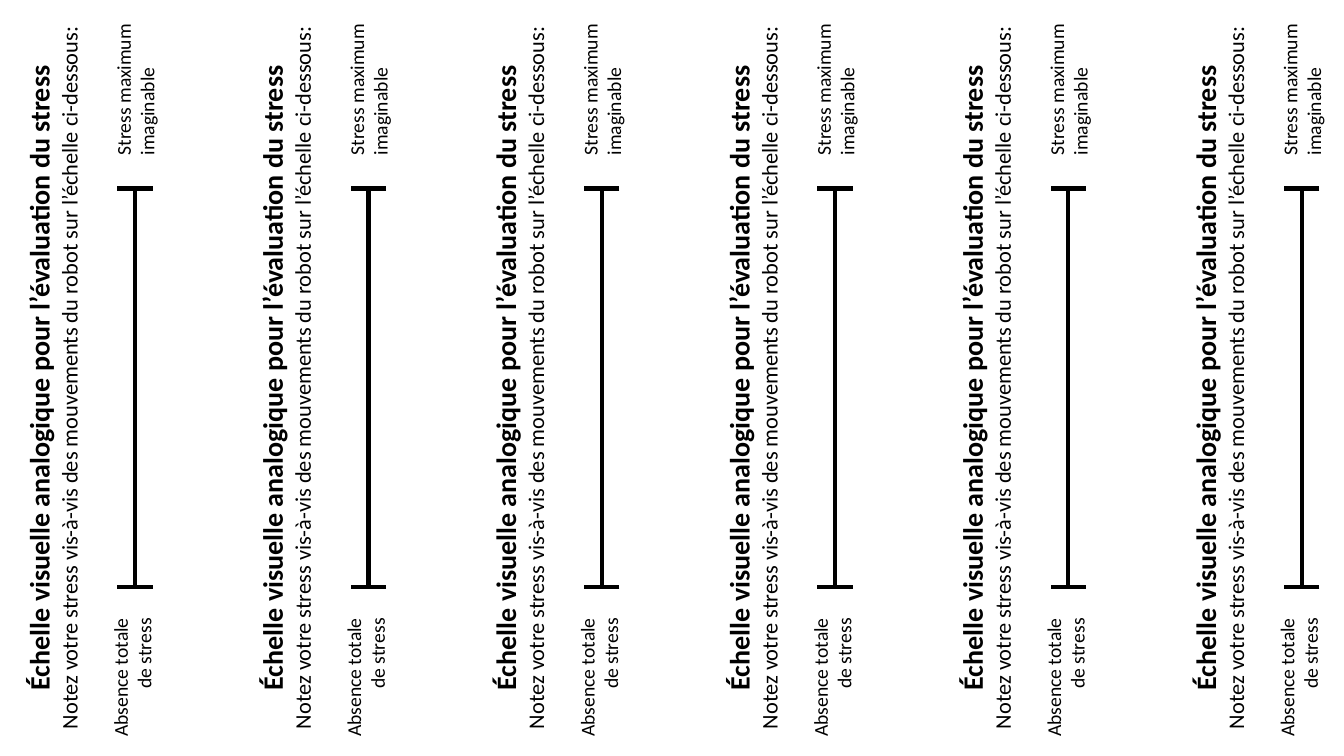
from lxml.etree import SubElement
from pptx import Presentation
from pptx.dml.color import RGBColor
from pptx.enum.shapes import MSO_CONNECTOR
from pptx.enum.text import MSO_AUTO_SIZE, PP_ALIGN
from pptx.oxml.ns import qn
from pptx.util import Inches, Pt

BLACK = RGBColor(0, 0, 0)
FONT = "Calibri"

# Grid: six equal columns, one stress scale in each
SCALE_COUNT = 6
FIRST_AXIS, LAST_AXIS = 1.34, 12.91
COLUMN = (LAST_AXIS - FIRST_AXIS) / (SCALE_COUNT - 1)
AXIS_TOP, AXIS_BOTTOM = 1.87, 5.82
HALF_TICK = 0.175

TITLE = "Échelle visuelle analogique pour l’évaluation du stress"
INSTRUCTION = ("Notez votre stress vis-à-vis des mouvements du robot "
               "sur l’échelle ci-dessous:")


def add_line(shapes, start, end):
    """Add a thick black line between two points given in inches."""
    line = shapes.add_connector(
        MSO_CONNECTOR.STRAIGHT, *map(Inches, (*start, *end)))
    line.line.color.rgb = BLACK
    line.line.width = Pt(3)
    SubElement(line._element.spPr, qn("a:effectLst"))


def add_upward_text(shapes, lines, *, center, size, align, wrap=False):
    """Add text reading upwards; each line is (text, points, bold)."""
    (x, y), (width, height) = center, size
    box = shapes.add_textbox(Inches(x - width / 2), Inches(y - height / 2),
                             Inches(width), Inches(height))
    box.rotation = 270
    frame = box.text_frame
    frame.word_wrap = wrap
    frame.auto_size = MSO_AUTO_SIZE.SHAPE_TO_FIT_TEXT
    for index, (text, points, bold) in enumerate(lines):
        paragraph = frame.add_paragraph() if index else frame.paragraphs[0]
        paragraph.alignment = align
        run = paragraph.add_run()
        run.text = text
        run.font.name = FONT
        run.font.size = Pt(points)
        run.font.bold = bold
        run.font.color.rgb = BLACK


presentation = Presentation()
presentation.slide_width = Inches(13.33)
presentation.slide_height = Inches(7.5)
slide = presentation.slides.add_slide(presentation.slide_layouts[6])

for column in range(SCALE_COUNT):
    axis = FIRST_AXIS + column * COLUMN
    shapes = slide.shapes.add_group_shape().shapes

    add_line(shapes, (axis, AXIS_BOTTOM), (axis, AXIS_TOP))
    for end in (AXIS_BOTTOM, AXIS_TOP):
        add_line(shapes, (axis + HALF_TICK, end), (axis - HALF_TICK, end))

    add_upward_text(
        shapes, [("Stress maximum", 14, False), ("imaginable", 14, False)],
        center=(axis, 0.86), size=(1.56, 0.57), align=PP_ALIGN.LEFT)
    add_upward_text(
        shapes, [("Absence totale", 14, False), ("de stress", 14, False)],
        center=(axis - 0.03, 6.73), size=(1.39, 0.57), align=PP_ALIGN.RIGHT)
    add_upward_text(
        shapes, [(TITLE, 20, True), (INSTRUCTION, 16, False)],
        center=(axis - 0.82, 3.75), size=(7.7, 0.71),
        align=PP_ALIGN.CENTER, wrap=True)

presentation.save("out.pptx")
